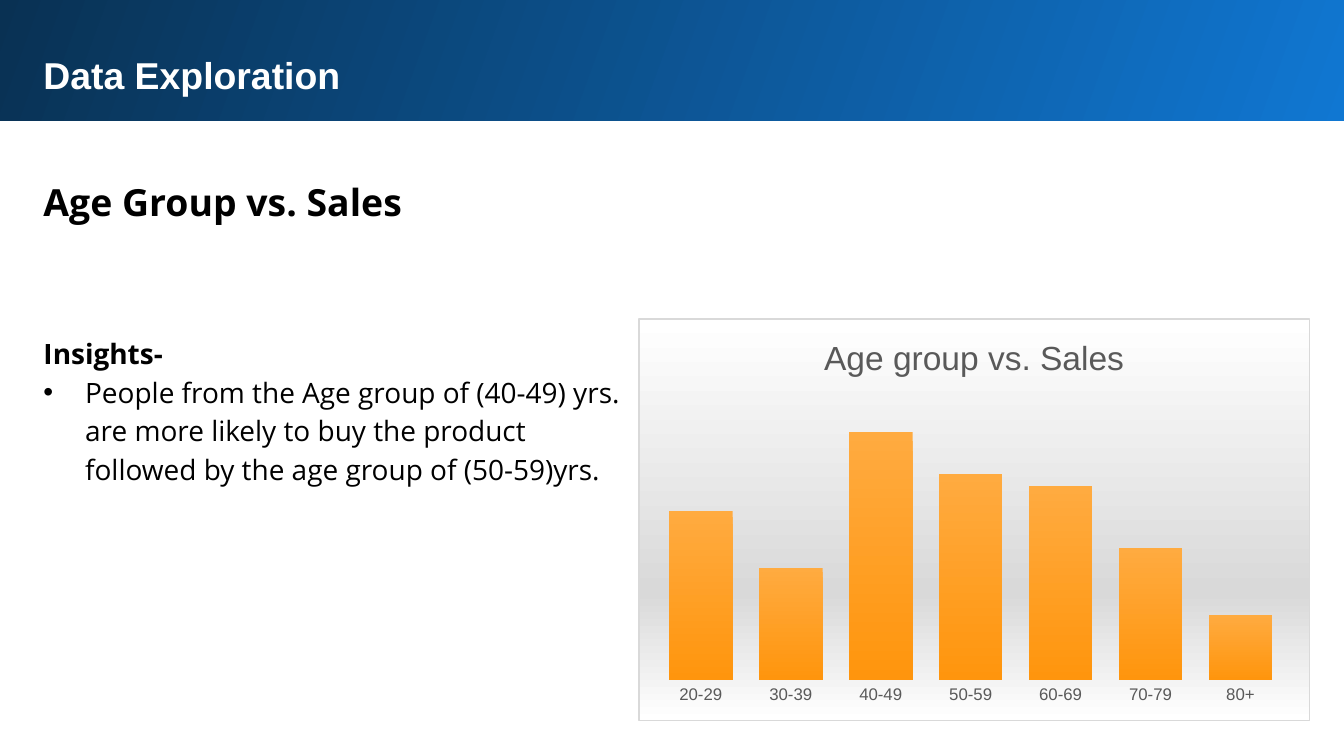
"""Build the Data Exploration slide with its age group chart."""
from lxml import etree
from pptx import Presentation
from pptx.chart.data import CategoryChartData
from pptx.dml.color import RGBColor
from pptx.enum.chart import XL_CHART_TYPE, XL_TICK_MARK
from pptx.enum.shapes import MSO_SHAPE
from pptx.oxml import parse_xml
from pptx.oxml.ns import nsdecls, qn
from pptx.util import Inches, Pt

COLUMNS = XL_CHART_TYPE.COLUMN_CLUSTERED
NO_TICK = XL_TICK_MARK.NONE
RECT = MSO_SHAPE.RECTANGLE

WHITE = RGBColor(0xFF, 0xFF, 0xFF)
BLACK = RGBColor(0, 0, 0)
GREY = RGBColor(0x59, 0x59, 0x59)
SILVER = RGBColor(0xD9, 0xD9, 0xD9)
SKY = RGBColor(0x10, 0x77, 0xD2)
NAVY = RGBColor(0x09, 0x31, 0x53)
AMBER = RGBColor(0xFF, 0xAB, 0x40)
ORANGE = RGBColor(0xFF, 0x95, 0x0D)

W = Inches(10)
H = W * 9 // 16
LEFT, WIDE, CONTENT_TOP = 2.25, 93.7, 42.1

HEADING = {"size": Pt(20), "bold": True, "name": "Arial"}
SUBHEAD = {"size": Pt(20), "bold": True, "name": "Open Sans"}
LABEL = {"size": Pt(15), "bold": True, "name": "Open Sans"}
BODY = {**LABEL, "bold": False}
AXIS = {"size": Pt(9), "bold": False, "name": "Arial"}
CHART_TITLE = {**AXIS, "size": Pt(18)}

SALES = {"20-29": 68, "30-39": 45, "40-49": 100, "50-59": 83,
         "60-69": 78, "70-79": 53, "80+": 26}


def box(x, y, w, h):
    """Turn percentages of the slide into lengths."""
    return tuple(int(share * full / 100) for share, full in zip((x, y, w, h), (W, H, W, H)))


def style(font, look, color):
    """Apply a dict of font values and a colour."""
    for key, value in look.items():
        setattr(font, key, value)
    font.color.rgb = color


def gradient(fill, stops, angle):
    """Replace a fill element with a linear gradient."""
    marks = "".join(f'<a:gs pos="{pos * 1000}"><a:srgbClr val="{color}"/></a:gs>'
                    for pos, color in stops)
    new = parse_xml(f'<a:gradFill {nsdecls("a")} rotWithShape="1"><a:gsLst>{marks}'
                    f'</a:gsLst><a:lin ang="{angle * 60000}" scaled="0"/></a:gradFill>')
    fill.getparent().replace(fill, new)


def manual_layout(target, after, inner=False, **percents):
    """Place a chart part by percentages of the chart."""
    for old in target.findall(qn("c:layout")):
        target.remove(old)
    layout = parse_xml(f'<c:layout {nsdecls("c")}><c:manualLayout/></c:layout>')
    values = {"layoutTarget": "inner"} if inner else {}
    values.update(xMode="edge", yMode="edge")
    values.update((key, percent / 100) for key, percent in percents.items())
    for key, value in values.items():
        etree.SubElement(layout[0], qn(f"c:{key}")).set("val", str(value))
    if after is None:
        target.insert(0, layout)
    else:
        after.addnext(layout)


def banner(s):
    """Draw the gradient band along the top."""
    sp = s.shapes.add_shape(RECT, *box(-0.2, -0.36, 100.5, 16.36))
    sp.shadow.inherit = False
    sp.fill.background()
    sp.line.fill.background()
    gradient(sp._element.spPr.find(qn("a:noFill")), [(0, SKY), (100, NAVY)], 200)


def text(s, place, lines, color=BLACK, spacing=1.15):
    """Add a text box from (text, look, bulleted) lines."""
    tf = s.shapes.add_textbox(*box(*place)).text_frame
    tf.word_wrap = True
    for side in ("left", "top", "right", "bottom"):
        setattr(tf, f"margin_{side}", Inches(0.1))
    for i, (words, look, bulleted) in enumerate(lines):
        p = tf.add_paragraph() if i else tf.paragraphs[0]
        p.line_spacing = spacing
        r = p.add_run()
        r.text = words
        style(r.font, look, color)
        if bulleted:
            pPr = p._p.get_or_add_pPr()
            pPr.set("marL", str(Inches(0.31)))
            pPr.set("indent", str(-Inches(0.31)))
            etree.SubElement(pPr, qn("a:buFont")).set("typeface", "Arial")
            etree.SubElement(pPr, qn("a:buChar")).set("char", "•")


def chart_frame(chart):
    """Give the chart its gradient ground and thin border."""
    spPr = parse_xml(f'<c:spPr {nsdecls("c", "a")}><a:noFill/><a:ln w="{Pt(0.75)}">'
                     f'<a:solidFill><a:srgbClr val="{SILVER}"/></a:solidFill></a:ln></c:spPr>')
    chart._chartSpace.find(qn("c:chart")).addnext(spPr)
    gradient(spPr[0], [(0, WHITE), (68, SILVER), (100, WHITE)], 90)


def sales_chart(s):
    """Add the column chart of sales by age group."""
    data = CategoryChartData()
    data.categories = list(SALES)
    data.add_series("Series 1", list(SALES.values()))
    chart = s.shapes.add_chart(COLUMNS, *box(47.5, CONTENT_TOP, 50, 53.33), data).chart
    style(chart.font, {"size": Pt(10), "name": "Arial"}, BLACK)
    chart.has_legend = False

    chart.has_title = True
    tf = chart.chart_title.text_frame
    tf.text = "Age group vs. Sales"
    style(tf.paragraphs[0].runs[0].font, CHART_TITLE, GREY)
    title = chart.chart_title._element
    manual_layout(title, title.find(qn("c:tx")), x=26.7, y=2.8)
    plot_area = chart._chartSpace.find(qn("c:chart")).find(qn("c:plotArea"))
    manual_layout(plot_area, None, inner=True, x=2.5, y=18.8, w=93.9, h=71)

    cat, val = chart.category_axis, chart.value_axis
    cat.major_tick_mark = cat.minor_tick_mark = NO_TICK
    cat.format.line.fill.background()
    style(cat.tick_labels.font, AXIS, GREY)
    val.visible = val.has_major_gridlines = False
    val.minimum_scale, val.maximum_scale = 0, 115

    plot = chart.plots[0]
    plot.gap_width, plot.vary_by_categories = 41, False
    bars = plot.series[0]
    bars.format.fill.background()
    gradient(bars._element.find(qn("c:spPr")).find(qn("a:noFill")),
             [(0, AMBER), (100, ORANGE)], 90)
    chart_frame(chart)


def main():
    """Compose and save the slide."""
    prs = Presentation()
    prs.slide_width, prs.slide_height = W, H
    s = prs.slides.add_slide(prs.slide_layouts[6])
    banner(s)
    text(s, (LEFT, 5.1, WIDE, 15.64), [("Data Exploration", HEADING, False)], WHITE, 1.0)
    text(s, (LEFT, 20.98, WIDE, 9.96), [("Age Group vs. Sales", SUBHEAD, False)])
    text(s, (LEFT, CONTENT_TOP, 45.2, 29.33), [
        ("Insights-", LABEL, False),
        ("People from the Age group of (40-49) yrs. are more likely to buy the product "
         "followed by the age group of (50-59)yrs.", BODY, True)])
    sales_chart(s)
    prs.save("out.pptx")


main()
